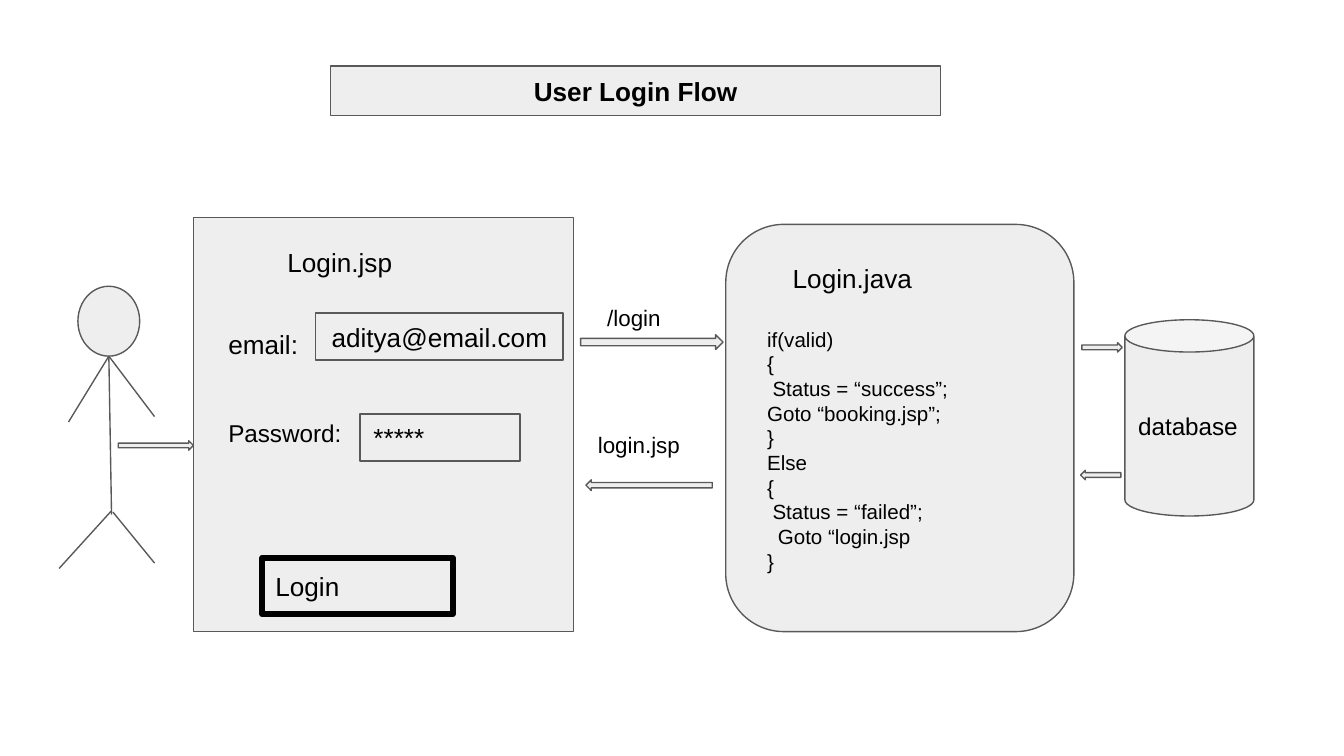
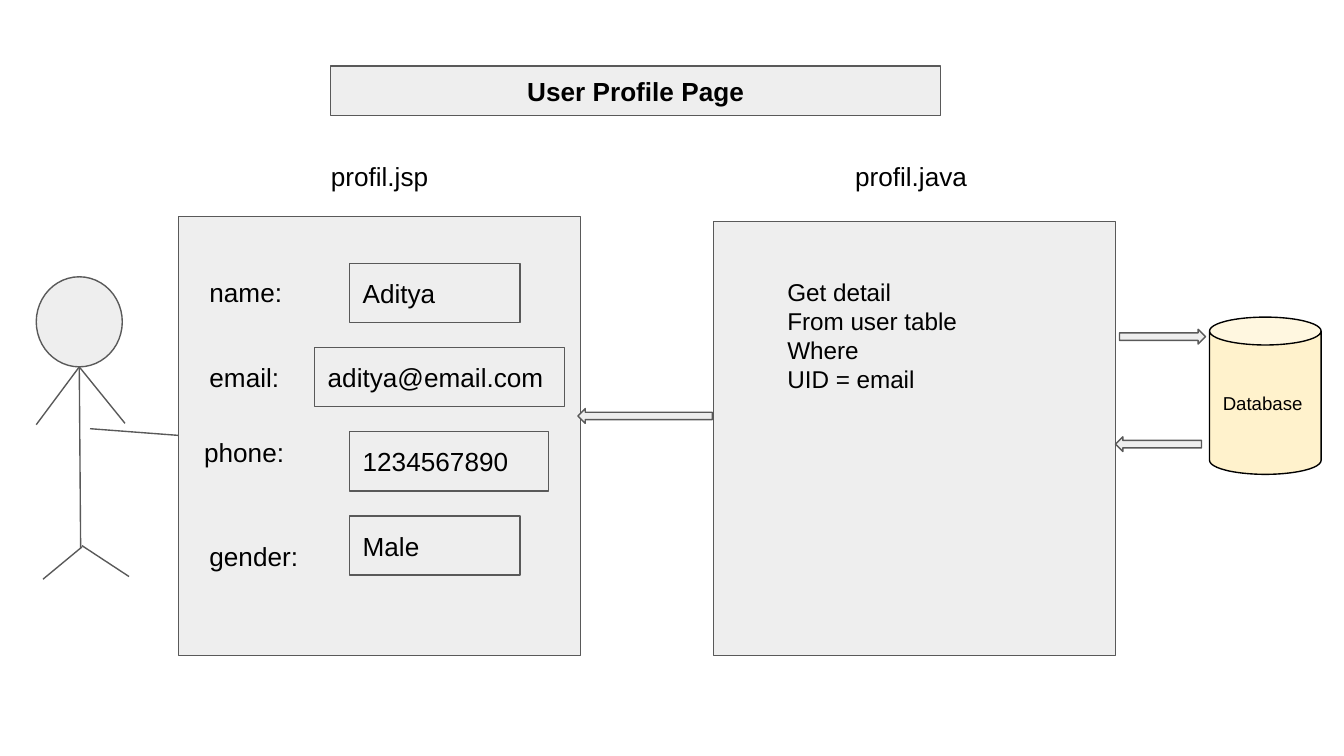
from dataclasses import dataclass

from pptx import Presentation
from pptx import util as u
from pptx.dml.color import RGBColor
from pptx.enum import shapes, text
from pptx.oxml import parse_xml
from pptx.oxml.ns import nsdecls

FONT = "Arial"
INK = "000000"
PANEL = "EEEEEE"
OUTLINE = "595959"
CREAM = "FFF2CC"
WHITE = "FFFFFF"
MARGIN = 0.1
CODE_INDENT = 0.04
EMAIL = "aditya@email.com"

KIND = shapes.MSO_SHAPE
LEFT, CENTER = text.PP_ALIGN.LEFT, text.PP_ALIGN.CENTER
RIGHT_ARROW, LEFT_ARROW = KIND.RIGHT_ARROW, KIND.LEFT_ARROW


@dataclass(frozen=True)
class Box:
    left: float
    top: float
    width: float
    height: float

    def lengths(self) -> list:
        return [u.Inches(v) for v in (self.left, self.top, self.width, self.height)]


@dataclass(frozen=True)
class Line:
    words: str
    indent: int = 0


@dataclass(frozen=True)
class Label:
    words: str
    box: Box
    size: float = 14
    align: text.PP_ALIGN = LEFT


@dataclass(frozen=True)
class Block:
    box: Box
    kind: shapes.MSO_SHAPE = KIND.RECTANGLE
    words: str = ""
    size: float = 14
    align: text.PP_ALIGN = LEFT
    fill: str = PANEL
    line: str = OUTLINE
    weight: float = 0.75


@dataclass(frozen=True)
class Stroke:
    x1: float
    y1: float
    x2: float
    y2: float


@dataclass(frozen=True)
class Person:
    head: Box
    strokes: tuple[Stroke, ...]


TITLE_BOX = Box(2.46, 0.49, 4.54, 0.37)


def colour(value: str) -> RGBColor:
    return RGBColor.from_string(value)


def paint(shape, fill: str, line: str, weight: float) -> None:
    shape.fill.solid()
    shape.fill.fore_color.rgb = colour(fill)
    shape.line.color.rgb = colour(line)
    shape.line.width = u.Pt(weight)


def write(shape, lines: list[Line], size: float, align, anchor, bold: bool = False) -> None:
    frame = shape.text_frame
    frame.word_wrap = True
    frame.vertical_anchor = anchor
    frame.margin_left = frame.margin_right = u.Inches(MARGIN)
    frame.margin_top = frame.margin_bottom = u.Inches(MARGIN)
    for i, line in enumerate(lines):
        paragraph = frame.paragraphs[0] if i == 0 else frame.add_paragraph()
        paragraph.alignment = align
        if line.indent:
            properties = paragraph._p.get_or_add_pPr()
            properties.set("marL", str(u.Inches(CODE_INDENT * line.indent)))
            properties.set("indent", "0")
        run = paragraph.add_run()
        run.text = line.words
        run.font.name = FONT
        run.font.size = u.Pt(size)
        run.font.bold = bold
        run.font.color.rgb = colour(INK)


def add_block(slide, block: Block) -> None:
    shape = slide.shapes.add_shape(block.kind, *block.box.lengths())
    shape.shadow.inherit = False
    paint(shape, block.fill, block.line, block.weight)
    if block.words:
        write(shape, [Line(block.words)], block.size, block.align, text.MSO_ANCHOR.MIDDLE)


def add_lines(slide, lines: list[Line], box: Box, size: float, align=LEFT) -> None:
    area = slide.shapes.add_textbox(*box.lengths())
    write(area, lines, size, align, text.MSO_ANCHOR.TOP)
    area.text_frame.auto_size = text.MSO_AUTO_SIZE.SHAPE_TO_FIT_TEXT


def add_labels(slide, labels: list[Label]) -> None:
    for label in labels:
        add_lines(slide, [Line(label.words)], label.box, label.size, label.align)


def add_arrows(slide, arrows: list[tuple[shapes.MSO_SHAPE, Box]]) -> None:
    for kind, box in arrows:
        add_block(slide, Block(box, kind))


def add_stroke(slide, stroke: Stroke) -> None:
    ends = [u.Inches(v) for v in (stroke.x1, stroke.y1, stroke.x2, stroke.y2)]
    connector = slide.shapes.add_connector(shapes.MSO_CONNECTOR.STRAIGHT, *ends)
    connector.line.color.rgb = colour(OUTLINE)
    connector.line.width = u.Pt(0.75)
    connector._element.spPr.append(parse_xml(f"<a:effectLst {nsdecls('a')}/>"))


def add_person(slide, person: Person) -> None:
    add_block(slide, Block(person.head, KIND.OVAL))
    for stroke in person.strokes:
        add_stroke(slide, stroke)


def start_slide(deck, heading: str):
    slide = deck.slides.add_slide(deck.slide_layouts[5])
    slide.background.fill.solid()
    slide.background.fill.fore_color.rgb = colour(WHITE)
    title = slide.shapes.title
    title.left, title.top, title.width, title.height = TITLE_BOX.lengths()
    paint(title, PANEL, OUTLINE, 0.75)
    write(title, [Line(heading)], 14, CENTER, text.MSO_ANCHOR.MIDDLE, bold=True)
    title.text_frame.auto_size = text.MSO_AUTO_SIZE.NONE
    return slide


def build_login(deck) -> None:
    slide = start_slide(deck, "User Login Flow")
    for block in (
        Block(Box(1.44, 1.62, 2.83, 3.08)),
        Block(Box(2.35, 2.33, 1.84, 0.35), words=EMAIL, align=CENTER),
        Block(Box(2.68, 3.08, 1.19, 0.35), words="*****"),
        Block(Box(1.95, 4.15, 1.42, 0.42), words="Login", line=INK, weight=3),
        Block(Box(5.4, 1.67, 2.59, 3.03), KIND.ROUNDED_RECTANGLE),
        Block(Box(8.37, 2.38, 0.96, 1.46), KIND.CAN, "database", 13),
    ):
        add_block(slide, block)
    add_labels(slide, [
        Label("Login.jsp", Box(2.04, 1.73, 1.6, 0.44)),
        Label("email:", Box(1.6, 2.34, 1.12, 0.44)),
        Label("Password:", Box(1.6, 3.01, 1.19, 0.42), 13),
        Label("Login.java", Box(5.8, 1.85, 1.6, 0.44)),
        Label("/login", Box(4.42, 2.16, 0.74, 0.4), 12),
        Label("login.jsp", Box(4.35, 3.11, 0.96, 0.4), 12),
    ])
    add_lines(slide, [
        Line("if(valid)"),
        Line("{"),
        Line("Status = “success”;", 1),
        Line("Goto “booking.jsp”;"),
        Line("}"),
        Line("Else"),
        Line("{"),
        Line("Status = “failed”;", 1),
        Line("Goto “login.jsp", 2),
        Line("}"),
    ], Box(5.61, 2.33, 2.27, 2.29), 11)
    add_person(slide, Person(Box(0.58, 2.13, 0.46, 0.52), (
        Stroke(0.81, 2.65, 0.83, 3.83),
        Stroke(0.51, 3.14, 0.81, 2.65),
        Stroke(0.81, 2.65, 1.15, 3.1),
        Stroke(0.83, 3.8, 0.44, 4.23),
        Stroke(0.84, 3.81, 1.15, 4.19),
    )))
    add_arrows(slide, [
        (RIGHT_ARROW, Box(0.88, 3.28, 0.56, 0.07)),
        (RIGHT_ARROW, Box(4.32, 2.49, 1.06, 0.11)),
        (LEFT_ARROW, Box(4.36, 3.57, 0.94, 0.08)),
        (RIGHT_ARROW, Box(8.05, 2.55, 0.3, 0.07)),
        (LEFT_ARROW, Box(8.04, 3.5, 0.3, 0.07)),
    ])


def build_profile(deck) -> None:
    slide = start_slide(deck, "User Profile Page")
    for block in (
        Block(Box(1.33, 1.61, 2.99, 3.27)),
        Block(Box(5.31, 1.65, 2.99, 3.23)),
        Block(Box(9, 2.36, 0.83, 1.17), KIND.CAN, "Database", 10, fill=CREAM, line=INK),
    ):
        add_block(slide, block)
    fields = [("Aditya", 2.6, 1.27), (EMAIL, 2.34, 1.86),
              ("1234567890", 2.6, 1.48), ("Male", 2.6, 1.27)]
    first_field, last_field = 1.96, 3.84
    field_pitch = (last_field - first_field) / (len(fields) - 1)
    for row, (value, left, width) in enumerate(fields):
        top = first_field + row * field_pitch
        add_block(slide, Block(Box(left, top, width, 0.44), words=value))
    add_labels(slide, [
        Label("profil.jsp", Box(1.21, 1.09, 3.23, 0.44), align=CENTER),
        Label("profil.java", Box(5.33, 1.09, 2.9, 0.44), align=CENTER),
        Label("name:", Box(1.46, 1.96, 1.21, 0.44)),
        Label("email:", Box(1.46, 2.59, 0.95, 0.44)),
        Label("phone:", Box(1.42, 3.15, 1.05, 0.44)),
        Label("gender:", Box(1.46, 3.92, 1, 0.44)),
    ])
    query = ("Get detail", "From user table", "Where", "UID = email")
    add_lines(slide, [Line(words) for words in query], Box(5.76, 1.96, 2.19, 1.08), 13)
    add_person(slide, Person(Box(0.27, 2.06, 0.64, 0.67), (
        Stroke(0.59, 2.73, 0.6, 4.08),
        Stroke(0.27, 3.16, 0.59, 2.73),
        Stroke(0.59, 2.73, 0.93, 3.15),
        Stroke(0.61, 4.07, 0.32, 4.31),
        Stroke(0.61, 4.06, 0.96, 4.29),
    )))
    add_stroke(slide, Stroke(0.67, 3.19, 1.33, 3.24))
    add_arrows(slide, [
        (LEFT_ARROW, Box(4.3, 3.04, 1, 0.11)),
        (RIGHT_ARROW, Box(8.33, 2.45, 0.64, 0.11)),
        (LEFT_ARROW, Box(8.3, 3.25, 0.64, 0.11)),
    ])


deck = Presentation()
deck.slide_width = u.Inches(10)
deck.slide_height = deck.slide_width * 9 // 16
build_login(deck)
build_profile(deck)
deck.save("out.pptx")
